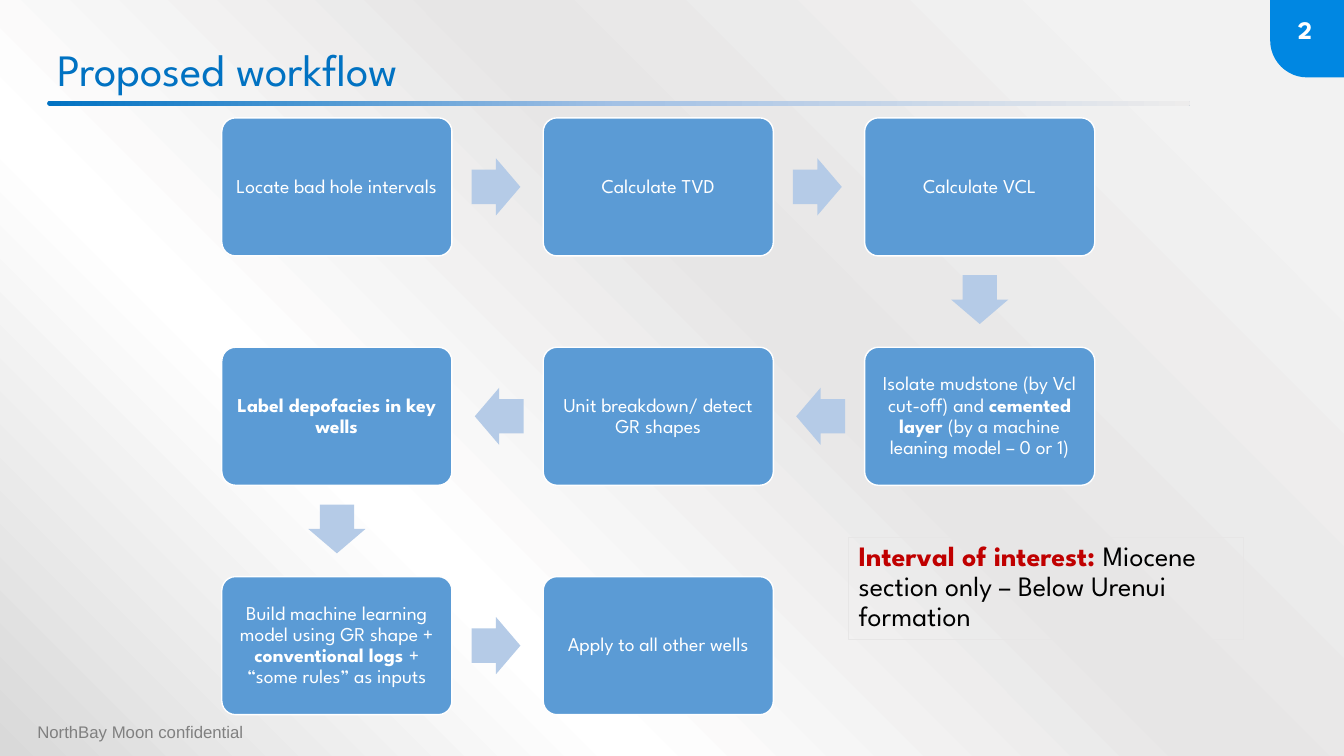
from dataclasses import dataclass
from typing import Any

from pptx import Presentation
from pptx.dml.color import RGBColor
from pptx.enum.shapes import MSO_SHAPE
from pptx.enum.text import MSO_ANCHOR, MSO_AUTO_SIZE, PP_ALIGN
from pptx.oxml import parse_xml
from pptx.oxml.ns import nsdecls, qn
from pptx.util import Cm, Pt

FACE = "League Spartan"
WHITE = "FFFFFF"
TITLE = "0172C2"
COLS = 3
BOX_W, BOX_H = 5.8, 3.48
LEFT, TOP = 5.59, 2.97
STEP_X, STEP_Y = 8.1, 5.78
HEAD_W, HEAD_H = 1.23, 1.44
GAP_X, GAP_Y = 4.01, 2.84


@dataclass
class Run:
    text: str
    bold: bool = False
    color: str = WHITE


@dataclass
class Area:
    left: float
    top: float
    width: float
    height: float


@dataclass
class Label:
    area: Area
    run: Run
    size: float
    face: str
    frame: dict[str, Any]
    space: float = 0.9


STEPS = [
    [Run("Locate bad hole intervals")],
    [Run("Calculate TVD")],
    [Run("Calculate VCL")],
    [Run("Isolate mudstone (by Vcl cut-off) and "), Run("cemented layer ", True),
     Run("(by a machine leaning model – 0 or 1)")],
    [Run("Unit breakdown/ detect GR shapes")],
    [Run("Label depofacies in key wells", True)],
    [Run("Build machine learning model using GR shape + "),
     Run("conventional logs ", True), Run("+ “some rules” as inputs")],
    [Run("Apply to all other wells")],
]

GROW = {"word_wrap": True, "auto_size": MSO_AUTO_SIZE.SHAPE_TO_FIT_TEXT}
LABELS = [
    Label(Area(0.69, 18.11, 13.34, 0.71),
          Run("NorthBay Moon confidential", color="808080"), 12, "Arial", GROW),
    Label(Area(32.46, 0.23, 1.22, 1.02), Run("2", True), 18, FACE,
          {**GROW, "word_wrap": False}, 1.0),
    Label(Area(1.19, 0.46, 26.7, 2.08), Run("Proposed workflow", color=TITLE),
          32, FACE, {"word_wrap": True, "vertical_anchor": MSO_ANCHOR.BOTTOM}),
]
NOTE = [Run("Interval of interest: ", True, "C00000"),
        Run("Miocene section only – Below Urenui formation", color="000000")]
PAD = Cm(0.25)
BOX_FRAME = {"word_wrap": True, "vertical_anchor": MSO_ANCHOR.MIDDLE,
             "margin_left": PAD, "margin_right": PAD,
             "margin_top": PAD, "margin_bottom": PAD}


def tint(code: str) -> RGBColor:
    return RGBColor.from_string(code)


def apply(target: Any, values: dict[str, Any]) -> None:
    for name, value in values.items():
        setattr(target, name, value)


def blend(root: Any, stops: list[tuple[int, str]], shade: str) -> None:
    marks = "".join(
        f'<a:gs pos="{at * 1000}"><a:srgbClr val="{code}"/></a:gs>'
        for at, code in stops)
    fill = parse_xml(f'<a:gradFill {nsdecls("a")} rotWithShape="1">'
                     f"<a:gsLst>{marks}</a:gsLst>{shade}</a:gradFill>")
    solid = next(root.iter(qn("a:solidFill")))
    solid.getparent().replace(solid, fill)


def place(area: Area) -> list[int]:
    return [Cm(v) for v in (area.left, area.top, area.width, area.height)]


def write(frame: Any, runs: list[Run], size: float, face: str,
          values: dict[str, Any], align: Any = PP_ALIGN.LEFT,
          space: float = 0.9) -> None:
    apply(frame, values)
    para = frame.paragraphs[0]
    apply(para, {"alignment": align, "line_spacing": space})
    for item in runs:
        run = para.add_run()
        run.text = item.text
        apply(run.font, {"size": Pt(size), "name": face, "bold": item.bold})
        run.font.color.rgb = tint(item.color)


def draw(slide: Any, kind: Any, area: Area, fill: str = "", line: str = "",
         width: float = 1, bends: tuple[float, ...] = (), turn: float = 0) -> Any:
    shape = slide.shapes.add_shape(kind, *place(area))
    shape.shadow.inherit = False
    shape.rotation = turn
    for spot, bend in enumerate(bends):
        shape.adjustments[spot] = bend
    if fill:
        shape.fill.solid()
        shape.fill.fore_color.rgb = tint(fill)
    else:
        shape.fill.background()
    if line:
        shape.line.color.rgb = tint(line)
        shape.line.width = Pt(width)
    else:
        shape.line.fill.background()
    return shape


def cell(spot: int) -> tuple[int, int]:
    row, col = divmod(spot, COLS)
    return (COLS - 1 - col if row % 2 else col), row


def draw_step(slide: Any, spot: int, runs: list[Run]) -> None:
    col, row = cell(spot)
    left, top = LEFT + col * STEP_X, TOP + row * STEP_Y
    box = draw(slide, MSO_SHAPE.ROUNDED_RECTANGLE, Area(left, top, BOX_W, BOX_H),
               "5B9BD5", WHITE, bends=(0.1,))
    write(box.text_frame, runs, 14, FACE, BOX_FRAME, PP_ALIGN.CENTER)
    if spot == len(STEPS) - 1:
        return
    next_col, next_row = cell(spot + 1)
    go_x, go_y = next_col - col, next_row - row
    mid_x = left + BOX_W / 2 + go_x * GAP_X
    mid_y = top + BOX_H / 2 + go_y * GAP_Y
    turn = {(1, 0): 0, (0, 1): 90, (-1, 0): 180}[go_x, go_y]
    draw(slide, MSO_SHAPE.RIGHT_ARROW,
         Area(mid_x - HEAD_W / 2, mid_y - HEAD_H / 2, HEAD_W, HEAD_H),
         "B5CBE7", bends=(0.6, 0.5), turn=turn)


def main() -> None:
    deck = Presentation()
    apply(deck, {"slide_width": Cm(33.87), "slide_height": Cm(19.05)})
    slide = deck.slides.add_slide(deck.slide_layouts[6])
    slide.background.fill.solid()
    slide.background.fill.fore_color.rgb = tint(WHITE)
    blend(slide.element,
          [(10, "F2F2F2"), (42, "E7E6E6"), (70, WHITE), (100, "D9D9D9")],
          '<a:path path="circle"><a:fillToRect l="100000" b="100000"/></a:path>')

    draw(slide, MSO_SHAPE.ROUND_1_RECTANGLE, Area(32.01, -0.03, 1.86, 1.98),
         "0087E2", bends=(0.5,), turn=180)
    rule = draw(slide, MSO_SHAPE.ROUNDED_RECTANGLE, Area(1.19, 2.54, 28.8, 0.13),
                TITLE, bends=(0.5,))
    blend(rule.element, [(0, TITLE), (50, "A3C1E5"), (100, "EDECEC")],
          '<a:lin ang="0" scaled="0"/>')
    for label in LABELS:
        box = slide.shapes.add_textbox(*place(label.area))
        write(box.text_frame, [label.run], label.size, label.face, label.frame,
              space=label.space)

    for spot, runs in enumerate(STEPS):
        draw_step(slide, spot, runs)

    note = draw(slide, MSO_SHAPE.RECTANGLE, Area(21.39, 13.54, 9.96, 2.57),
                line="E7E6E6", width=0.75)
    write(note.text_frame, NOTE, 20, FACE,
          {**GROW, "vertical_anchor": MSO_ANCHOR.TOP})
    deck.save("out.pptx")


if __name__ == "__main__":
    main()
